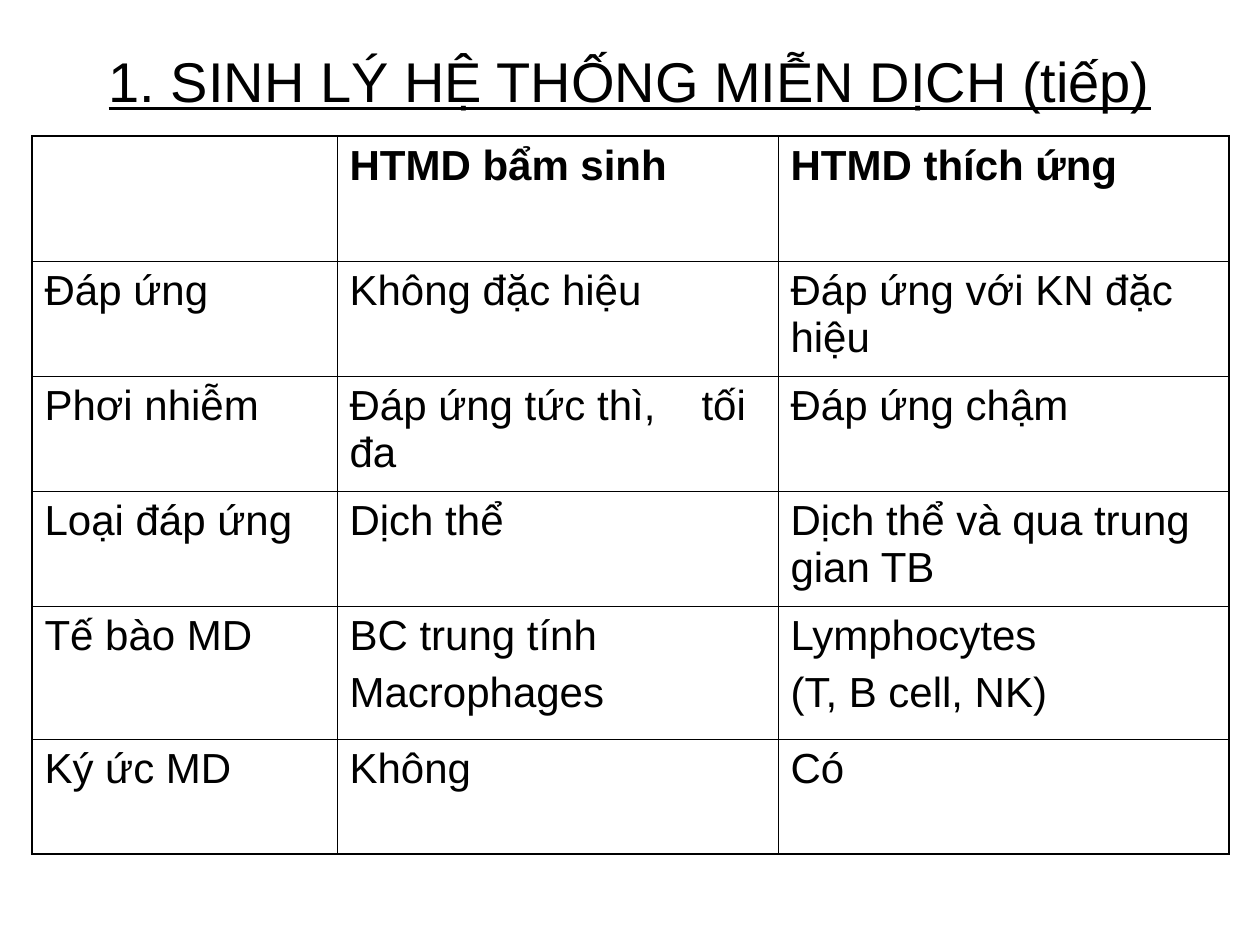
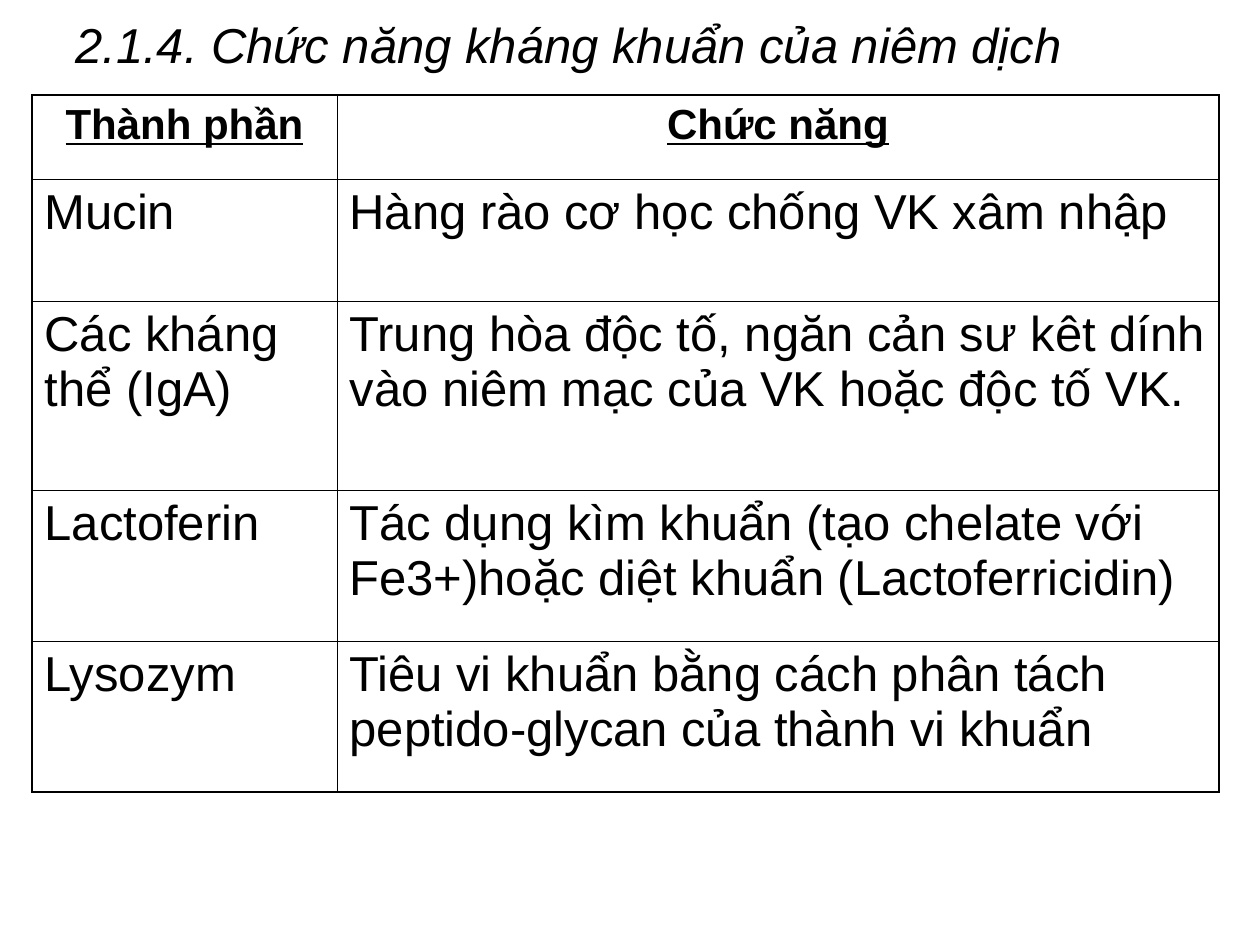
from dataclasses import dataclass

from lxml.etree import SubElement
from pptx import Presentation
from pptx.dml.color import RGBColor
from pptx.enum.text import MSO_ANCHOR as Anchor, PP_ALIGN as Align
from pptx.oxml import parse_xml
from pptx.oxml.ns import nsdecls, qn
from pptx.slide import Slide
from pptx.table import _Cell as Cell
from pptx.text.text import TextFrame
from pptx.util import Emu, Pt

EMU_PER_PIXEL = 914400 / 126


def px(pixels: int) -> Emu:
    """Turn whole pixels into EMU."""
    return Emu(round(pixels * EMU_PER_PIXEL))


@dataclass(frozen=True)
class Theme:
    """Colours, font, type sizes and line widths of the deck."""
    font: str = "Arial"
    ink: str = "000000"
    large: int = 32
    medium: int = 28
    small: int = 24
    outer_line: float = 1.08
    inner_line: float = 0.45


@dataclass(frozen=True)
class Title:
    """A slide heading and its band."""
    text: str
    top: int
    height: int
    size: int
    align: Align = Align.LEFT
    underline: bool = False
    italic: bool = False


@dataclass(frozen=True)
class Grid:
    """A ruled table with a bold header row."""
    top: int
    columns: tuple[int, ...]
    heights: tuple[int, ...]
    rows: tuple[tuple[str, ...], ...]
    body_size: int
    body_gap: int
    header_align: Align = Align.LEFT
    header_underline: bool = False


THEME = Theme()
TITLE_LEFT, TITLE_WIDTH = 63, 1134
GRID_LEFT, LABEL_WIDTH = 32, 305
HEADER_GAP = 6
TAB_STOP = 352  # lines up the second part of a tabbed cell

SLIDES = (
    (
        Title("1. SINH LÝ HỆ THỐNG MIỄN DỊCH (tiếp)", 38, 84, THEME.large,
              align=Align.CENTER, underline=True),
        Grid(
            top=136,
            columns=(LABEL_WIDTH, 441, 451),
            heights=(125, 115, 115, 115, 133, 115),
            rows=(
                ("", "HTMD bẩm sinh", "HTMD thích ứng"),
                ("Đáp ứng", "Không đặc hiệu", "Đáp ứng với KN đặc hiệu"),
                ("Phơi nhiễm", "Đáp ứng tức thì,\ttối đa", "Đáp ứng chậm"),
                ("Loại đáp ứng", "Dịch thể", "Dịch thể và qua trung gian TB"),
                ("Tế bào MD", "BC trung tính\nMacrophages",
                 "Lymphocytes\n(T, B cell, NK)"),
                ("Ký ức MD", "Không", "Có"),
            ),
            body_size=THEME.small,
            body_gap=6,
        ),
    ),
    (
        Title("2.1.4. Chức năng kháng khuẩn của niêm dịch", 0, 88,
              THEME.medium, italic=True),
        Grid(
            top=95,
            columns=(LABEL_WIDTH, 882),
            heights=(84, 122, 189, 151, 151),
            rows=(
                ("Thành phần", "Chức năng"),
                ("Mucin", "Hàng rào cơ học chống VK xâm nhập"),
                ("Các kháng thể (IgA)",
                 "Trung hòa độc tố, ngăn cản sư kêt dính vào niêm mạc của VK "
                 "hoặc độc tố VK."),
                ("Lactoferin",
                 "Tác dụng kìm khuẩn (tạo chelate với Fe3+)hoặc diệt khuẩn "
                 "(Lactoferricidin)"),
                ("Lysozym",
                 "Tiêu vi khuẩn bằng cách phân tách peptido-glycan của thành "
                 "vi khuẩn"),
            ),
            body_size=THEME.medium,
            body_gap=7,
            header_align=Align.CENTER,
            header_underline=True,
        ),
    ),
)


def write(frame: TextFrame, text: str, *, size: int, align: Align = Align.LEFT,
          bold: bool = False, italic: bool = False, underline: bool = False,
          gap: int = 0) -> None:
    """Fill a frame, one paragraph per line of text, in one format."""
    frame.word_wrap = True
    frame.text = text
    for paragraph in frame.paragraphs:
        paragraph.alignment = align
        paragraph.space_before = Pt(gap)
        if "\t" in paragraph.text:
            stops = SubElement(paragraph._p.get_or_add_pPr(), qn("a:tabLst"))
            SubElement(stops, qn("a:tab"), pos=str(px(TAB_STOP)), algn="l")
        for font in (paragraph.font, *(run.font for run in paragraph.runs)):
            font.name, font.size = THEME.font, Pt(size)
            font.bold, font.italic, font.underline = bold, italic, underline
            font.color.rgb = RGBColor.from_string(THEME.ink)


def rule_cell(cell: Cell, outer_sides: dict[str, bool]) -> None:
    """Draw the four borders of a cell, heavier on the table's outside."""
    properties = cell._tc.get_or_add_tcPr()
    for position, (side, outer) in enumerate(outer_sides.items()):
        width = Pt(THEME.outer_line if outer else THEME.inner_line)
        properties.insert(position, parse_xml(
            f'<a:ln{side} {nsdecls("a")} w="{width}"><a:solidFill>'
            f'<a:srgbClr val="{THEME.ink}"/></a:solidFill></a:ln{side}>'))


def add_title(slide: Slide, title: Title) -> None:
    """Place the heading of a slide."""
    heading = slide.shapes.add_textbox(
        px(TITLE_LEFT), px(title.top), px(TITLE_WIDTH), px(title.height))
    heading.text_frame.vertical_anchor = Anchor.MIDDLE
    write(heading.text_frame, title.text, size=title.size, align=title.align,
          underline=title.underline, italic=title.italic)


def add_grid(slide: Slide, grid: Grid) -> None:
    """Place a ruled table with its texts."""
    last_row, last_column = len(grid.rows) - 1, len(grid.columns) - 1
    table = slide.shapes.add_table(
        last_row + 1, last_column + 1, px(GRID_LEFT), px(grid.top),
        px(sum(grid.columns)), px(sum(grid.heights))).table
    table.first_row = table.horz_banding = False
    for column, width in zip(table.columns, grid.columns):
        column.width = px(width)
    for row, height in zip(table.rows, grid.heights):
        row.height = px(height)

    header = dict(size=THEME.small, bold=True, gap=HEADER_GAP,
                  align=grid.header_align, underline=grid.header_underline)
    body = dict(size=grid.body_size, gap=grid.body_gap)
    for r, texts in enumerate(grid.rows):
        for c, text in enumerate(texts):
            cell = table.cell(r, c)
            cell.fill.background()
            write(cell.text_frame, text, **(body if r else header))
            rule_cell(cell, {"L": c == 0, "R": c == last_column,
                             "T": r == 0, "B": r == last_row})


def main() -> None:
    """Build and save the deck."""
    deck = Presentation()
    deck.slide_width, deck.slide_height = px(1260), px(945)
    blank = deck.slide_layouts[6]
    for title, grid in SLIDES:
        slide = deck.slides.add_slide(blank)
        add_title(slide, title)
        add_grid(slide, grid)
    deck.save("out.pptx")


main()
